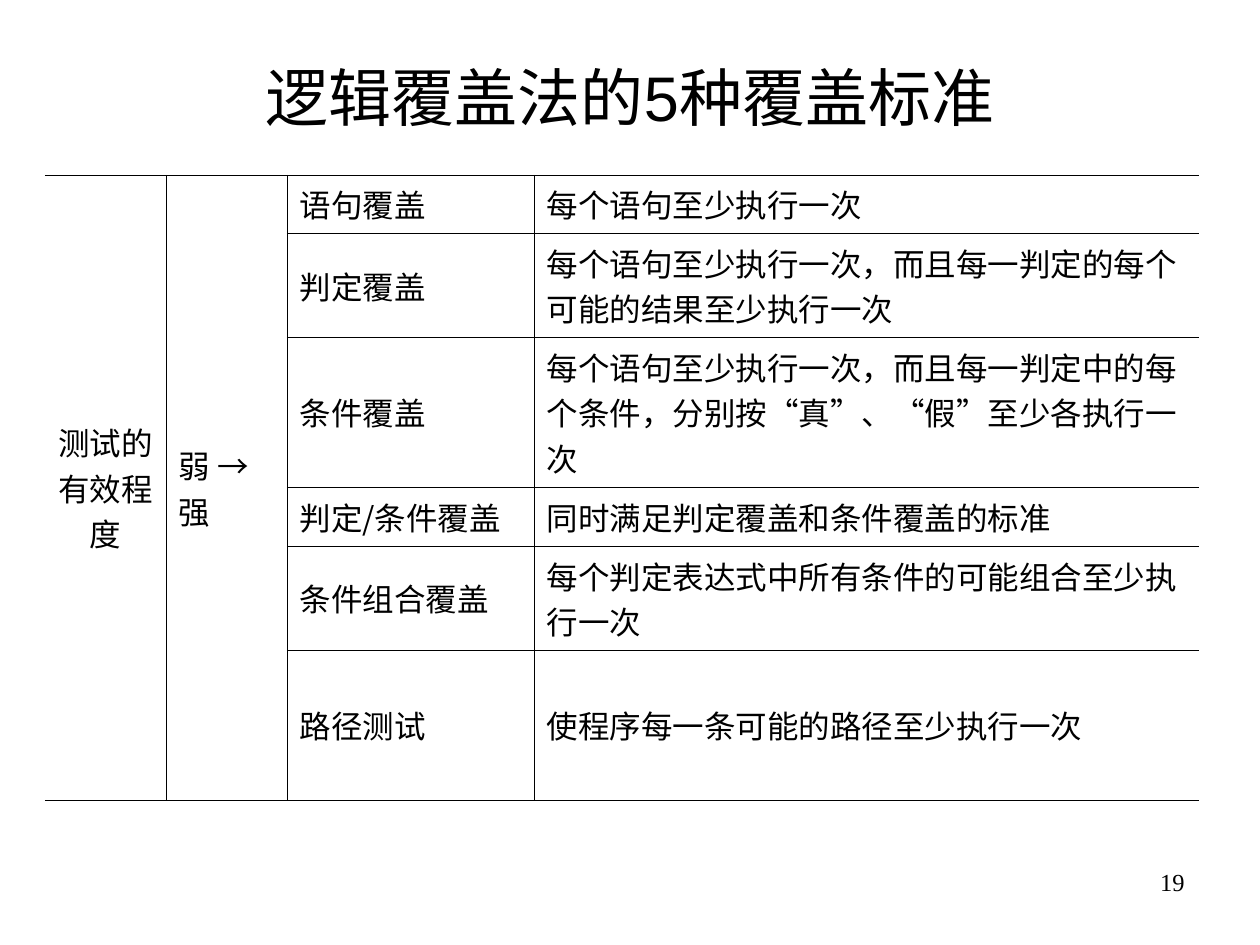
from lxml.etree import SubElement
from pptx import Presentation
from pptx.dml.color import RGBColor
from pptx.enum.text import MSO_ANCHOR as Anchor, MSO_AUTO_SIZE as Fit, PP_ALIGN as Align
from pptx.oxml.ns import qn
from pptx.util import Pt

PX = 914400 / 126
COLORS = {"ink": "000000"}
CJK = "Noto Sans CJK SC"
SERIF = "Times New Roman"
COLS = (121, 121, 247, 665)
ROWS = (
    (58, "语句覆盖", "每个语句至少执行一次"),
    (104, "判定覆盖", "每个语句至少执行一次，而且每一判定的每个可能的结果至少执行一次"),
    (150, "条件覆盖", "每个语句至少执行一次，而且每一判定中的每个条件，分别按“真”、“假”至少各执行一次"),
    (59, "判定/条件覆盖", "同时满足判定覆盖和条件覆盖的标准"),
    (104, "条件组合覆盖", "每个判定表达式中所有条件的可能组合至少执行一次"),
    (150, "路径测试", "使程序每一条可能的路径至少执行一次"),
)


def emu(px):
    return round(px * PX)


def write(frame, text, size=18, face=SERIF, align=Align.LEFT, anchor=Anchor.MIDDLE):
    frame.word_wrap = True
    frame.vertical_anchor = anchor
    para = frame.paragraphs[0]
    para.alignment = align
    run = para.add_run()
    run.text = text
    font = run.font
    font.size = Pt(size)
    font.name = face
    font.bold = False
    font.color.rgb = RGBColor.from_string(COLORS["ink"])
    SubElement(run._r.get_or_add_rPr(), qn("a:ea")).set("typeface", CJK)


def rule(cell, sides):
    cell.fill.background()
    props = cell._tc.get_or_add_tcPr()
    for spot, side in enumerate("LRTB"):
        line = SubElement(props, qn("a:ln" + side))
        props.insert(spot, line)
        if side in sides:
            line.set("w", str(Pt(0.23)))
            fill = SubElement(line, qn("a:solidFill"))
            SubElement(fill, qn("a:srgbClr")).set("val", COLORS["ink"])
        else:
            SubElement(line, qn("a:noFill"))


def edges(row, col):
    last = len(ROWS) - 1
    sides = "L" if col else ""
    if col < len(COLS) - 1:
        sides += "R"
    if col > 1 or row == 0:
        sides += "T"
    if col > 1 or row in (0, last):
        sides += "B"
    return sides


def title(slide, x, y, wide, high):
    shape = slide.shapes.title
    shape.left, shape.top = emu(x), emu(y)
    shape.width, shape.height = emu(wide), emu(high)
    shape.text_frame.auto_size = Fit.NONE
    write(shape.text_frame, "逻辑覆盖法的5种覆盖标准", size=36, face="Arial", align=Align.CENTER)


def levels(slide, x, y):
    high = sum(row[0] for row in ROWS)
    table = slide.shapes.add_table(
        len(ROWS), len(COLS), emu(x), emu(y), emu(sum(COLS)), emu(high)).table
    table.first_row = table.horz_banding = False
    for col, wide in enumerate(COLS):
        table.columns[col].width = emu(wide)
    for row, (tall, name, rules) in enumerate(ROWS):
        table.rows[row].height = emu(tall)
        for col in range(len(COLS)):
            rule(table.cell(row, col), edges(row, col))
        for col, text in ((2, name), (3, rules)):
            cell = table.cell(row, col)
            cell.vertical_anchor = Anchor.MIDDLE
            face = CJK if "/" in text or "“" in text else SERIF
            write(cell.text_frame, text, face=face)
    heads = (("测试的有效程度", SERIF, Align.CENTER), ("弱 → 强", CJK, Align.LEFT))
    for col, (text, face, align) in enumerate(heads):
        cell = table.cell(0, col)
        cell.merge(table.cell(len(ROWS) - 1, col))
        cell.vertical_anchor = Anchor.MIDDLE
        write(cell.text_frame, text, face=face, align=align)


def number(slide, x, y, wide, high):
    box = slide.shapes.add_textbox(emu(x), emu(y), emu(wide), emu(high))
    write(box.text_frame, "19", size=14, align=Align.RIGHT, anchor=Anchor.TOP)


def main():
    deck = Presentation()
    deck.slide_width, deck.slide_height = emu(1260), emu(945)
    slide = deck.slides.add_slide(deck.slide_layouts[5])
    title(slide, 63, 38, 1134, 117)
    levels(slide, 45, 175)
    number(slide, 903, 861, 294, 66)
    deck.save("out.pptx")


if __name__ == "__main__":
    main()
